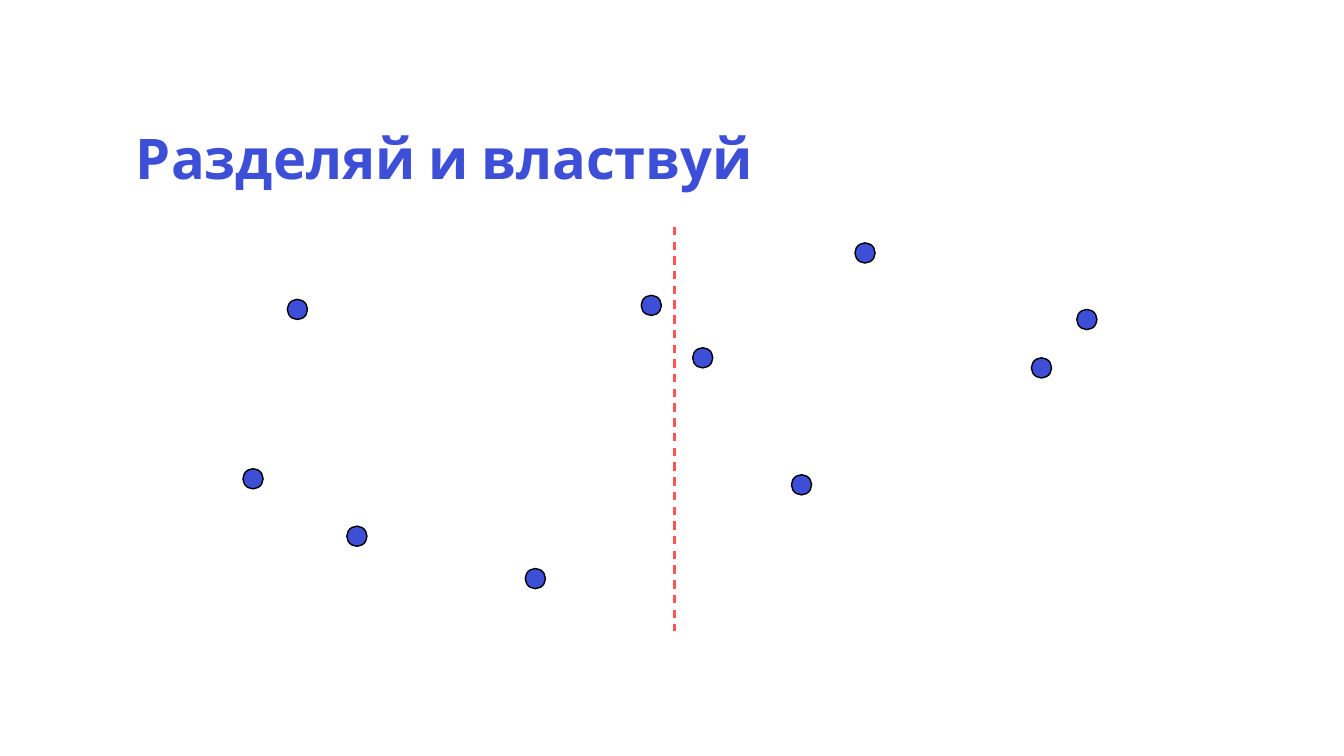
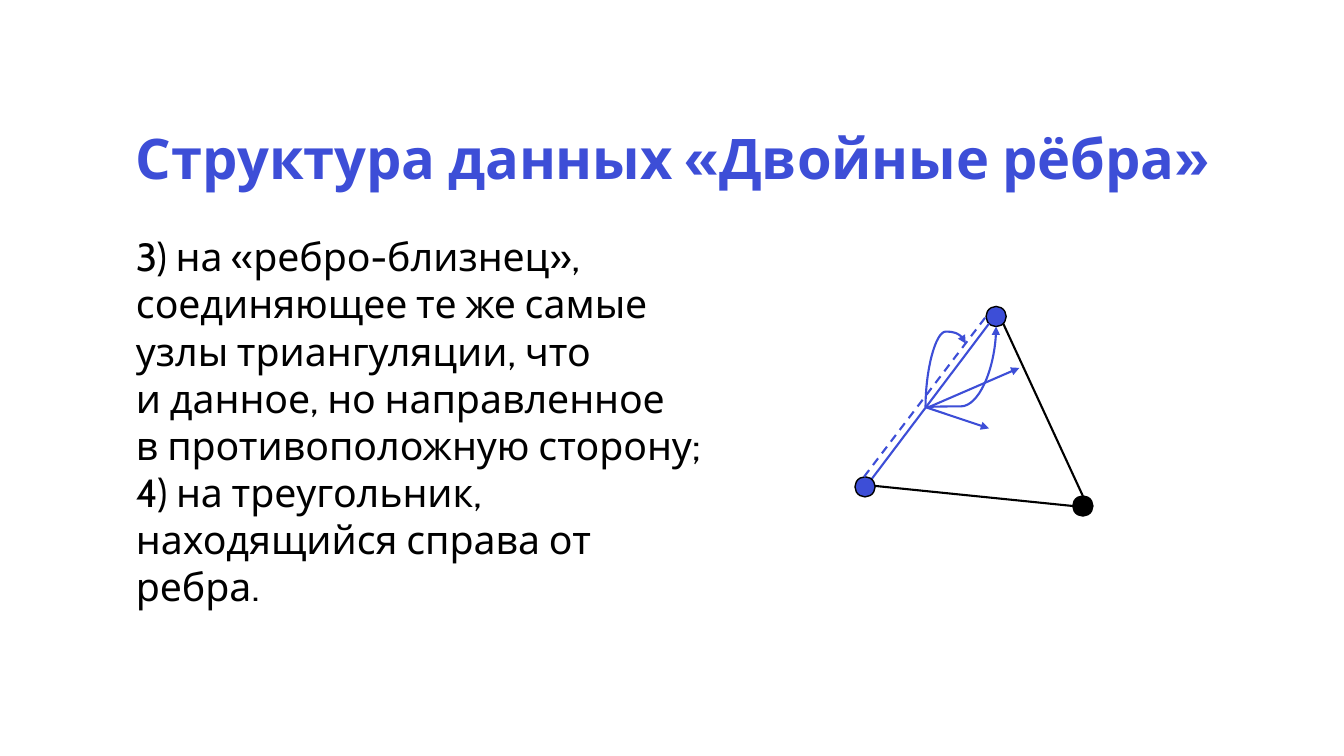
from lxml import etree
from pptx import Presentation
from pptx.dml.color import RGBColor
from pptx.enum.dml import MSO_LINE
from pptx.enum.shapes import MSO_CONNECTOR, MSO_SHAPE
from pptx.enum.text import MSO_ANCHOR, MSO_AUTO_SIZE
from pptx.oxml.ns import qn
from pptx.util import Inches, Pt

DASH = MSO_LINE.DASH
STRAIGHT, CURVE = MSO_CONNECTOR.STRAIGHT, MSO_CONNECTOR.CURVE
OVAL = MSO_SHAPE.OVAL
TOP = MSO_ANCHOR.TOP
GROW, FIXED = MSO_AUTO_SIZE.SHAPE_TO_FIT_TEXT, MSO_AUTO_SIZE.NONE

COLORS = {"blue": "3D4ED7", "black": "000000", "red": "FF5555"}
FONT = "Cabin"
DOT_SIZE = 0.2
QUARTER_TURN = "5400000"


def color(name):
    return RGBColor.from_string(COLORS[name])


class Deck:
    """Holds the shared style and the slide being drawn."""

    def __init__(self):
        self.presentation = Presentation()
        self.presentation.slide_width = Inches(13.33)
        self.presentation.slide_height = Inches(7.5)
        self.slide = None

    def add_slide(self, title):
        self.slide = self.presentation.slides.add_slide(self.presentation.slide_layouts[6])
        self.text((1.25, 1.25, 10.85, 0.8), [[title]], 40, "blue", bold=True, spacing=0.9)

    def text(self, box, paragraphs, size, color_name, bold=False, spacing=None, fit=FIXED):
        frame = self.slide.shapes.add_textbox(*map(Inches, box)).text_frame
        frame.word_wrap = True
        frame.auto_size = fit
        frame.vertical_anchor = TOP
        for index, lines in enumerate(paragraphs):
            paragraph = frame.add_paragraph() if index else frame.paragraphs[0]
            paragraph.line_spacing = spacing
            for number, line in enumerate(lines):
                if number:
                    paragraph.add_line_break()
                run = paragraph.add_run()
                run.text = line
                run.font.name = FONT
                run.font.size = Pt(size)
                run.font.bold = bold
                run.font.color.rgb = color(color_name)

    def dot(self, left, top, fill="blue"):
        shape = self.slide.shapes.add_shape(
            OVAL, Inches(left), Inches(top), Inches(DOT_SIZE), Inches(DOT_SIZE))
        shape.shadow.inherit = False
        shape.fill.solid()
        shape.fill.fore_color.rgb = color(fill)
        shape.line.color.rgb = color("black")
        shape.line.width = Pt(1)

    def line(self, start, end, color_name="blue", dashed=False, arrow=False, kind=STRAIGHT):
        connector = self.slide.shapes.add_connector(kind, *map(Inches, (*start, *end)))
        connector.line.color.rgb = color(color_name)
        connector.line.width = Pt(1.5)
        if dashed:
            connector.line.dash_style = DASH
        if arrow:
            outline = connector.line._get_or_add_ln()
            etree.SubElement(outline, qn("a:tailEnd"), type="triangle")
        etree.SubElement(connector._element.spPr, qn("a:effectLst"))
        return connector

    def curved_arrow(self, start, end, bend):
        center_x, center_y = (start[0] + end[0]) / 2, (start[1] + end[1]) / 2
        across, down = start[1] - center_y, center_x - start[0]
        connector = self.line((center_x + across, center_y + down),
                              (center_x - across, center_y - down),
                              arrow=True, kind=CURVE)
        properties = connector._element.spPr
        properties.find(qn("a:xfrm")).set("rot", QUARTER_TURN)
        adjustments = properties.find(qn("a:prstGeom")).find(qn("a:avLst"))
        etree.SubElement(adjustments, qn("a:gd"), name="adj1", fmla=f"val {round(bend * 100000)}")


def build_divide_and_conquer(deck):
    deck.add_slide("Разделяй и властвуй")
    deck.line((6.69, 2.25), (6.69, 6.26), "red", dashed=True)
    left_points = [(3.44, 5.22), (2.85, 2.97), (2.41, 4.65), (5.21, 5.64), (6.36, 2.93)]
    right_points = [(8.48, 2.41), (7.85, 4.71), (10.68, 3.07), (10.23, 3.55), (6.87, 3.45)]
    for point in left_points + right_points:
        deck.dot(*point)


def build_double_edges(deck):
    deck.add_slide("Структура данных «Двойные рёбра»")
    deck.text((1.25, 2.26, 5.89, 3.4), [
        ["3) на «ребро-близнец», соединяющее те же самые узлы триангуляции, что",
         "и данное, но направленное",
         "в противоположную сторону;"],
        ["4) на треугольник, находящийся справа от ребра."],
    ], 28, "black", fit=GROW)

    edge_middle = (9.18, 4.04)
    deck.dot(9.78, 3.04)
    deck.dot(10.64, 4.92, "black")
    deck.line((9.95, 3.21), (10.74, 4.92), "black")
    deck.line((8.64, 4.76), (9.81, 3.21))
    deck.line((10.64, 5.02), (8.67, 4.82), "black")
    deck.line((9.21, 4.04), (10.11, 3.65), arrow=True)
    deck.dot(8.48, 4.73)
    deck.curved_arrow(edge_middle, (9.88, 3.24), 0.01)
    deck.curved_arrow(edge_middle, (9.58, 3.41), 1.19)
    deck.line((8.57, 4.73), (9.78, 3.14), dashed=True)
    deck.line(edge_middle, (9.81, 4.25), arrow=True)


def main():
    deck = Deck()
    build_divide_and_conquer(deck)
    build_double_edges(deck)
    deck.presentation.save("out.pptx")


if __name__ == "__main__":
    main()
